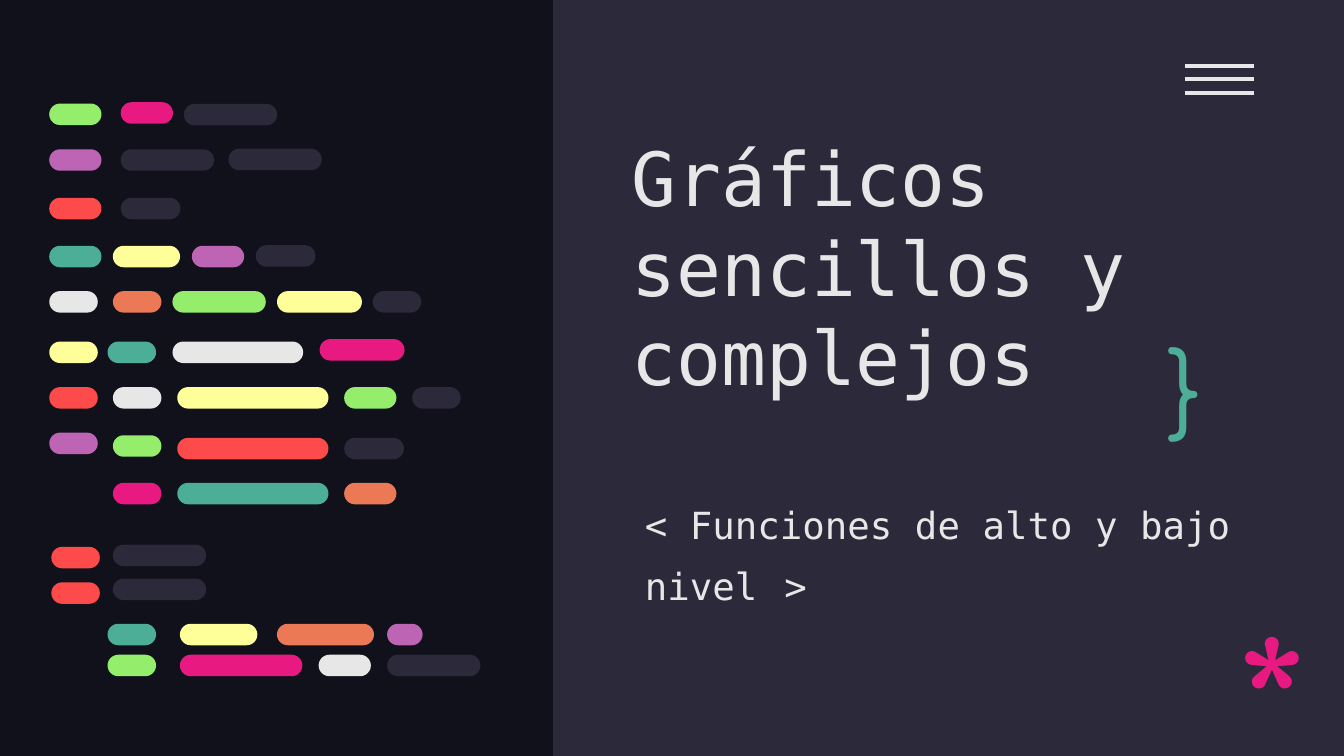
"""Build the title slide with its code-like strips and menu icon."""
from dataclasses import dataclass

from lxml.etree import SubElement
from pptx import Presentation
from pptx.dml.color import RGBColor
from pptx.enum.shapes import MSO_CONNECTOR, MSO_SHAPE
from pptx.enum.text import MSO_ANCHOR
from pptx.oxml.ns import qn
from pptx.slide import Slide
from pptx.util import Pt


@dataclass(frozen=True)
class Theme:
    night: str = "10111A"
    slate: str = "2C293A"
    white: str = "E7E7E7"
    green: str = "94EE6B"
    pink: str = "E81A81"
    purple: str = "BD64B5"
    red: str = "FD4A4A"
    teal: str = "4CAE97"
    yellow: str = "FFFF99"
    orange: str = "EC7955"
    mono: str = "DejaVu Sans Mono"
    round: str = "Comfortaa"
    title: float = 40
    body: float = 20
    gap: float = 24
    brace: float = 50
    star: float = 96


@dataclass(frozen=True)
class Box:
    left: float
    top: float
    width: float
    height: float


@dataclass(frozen=True)
class Pill:
    left: float
    width: float
    color: str
    drop: float = 0


@dataclass(frozen=True)
class Row:
    top: float
    pills: tuple[Pill, ...]


T = Theme()
WIDTH, HEIGHT = 720, 405
SPLIT = 296.3
THICK = 11.5
TINY, SHORT, MID, WIDE, LONG, FULL = 26, 28, 32, 50, 45.5, 81
EDGE, STEP = 26.4, 60.5

ROWS = (
    Row(55.5, (Pill(EDGE, SHORT, T.green), Pill(64.7, SHORT, T.pink, -0.7),
               Pill(98.5, WIDE, T.slate, 0.2))),
    Row(80, (Pill(EDGE, SHORT, T.purple), Pill(64.7, WIDE, T.slate),
             Pill(122.4, WIDE, T.slate, -0.3))),
    Row(106, (Pill(EDGE, SHORT, T.red), Pill(64.7, MID, T.slate))),
    Row(131.7, (Pill(EDGE, SHORT, T.teal), Pill(STEP, 36, T.yellow),
                Pill(102.8, SHORT, T.purple), Pill(137, MID, T.slate, -0.3))),
    Row(156, (Pill(EDGE, TINY, T.white), Pill(STEP, TINY, T.orange),
              Pill(92.4, WIDE, T.green), Pill(148.4, LONG, T.yellow),
              Pill(199.7, TINY, T.slate))),
    Row(183, (Pill(EDGE, TINY, T.yellow), Pill(57.6, TINY, T.teal),
              Pill(92.4, 70, T.white), Pill(171.2, LONG, T.pink, -1.3))),
    Row(207.4, (Pill(EDGE, TINY, T.red), Pill(STEP, TINY, T.white),
                Pill(95, FULL, T.yellow), Pill(184.4, SHORT, T.green),
                Pill(220.8, TINY, T.slate))),
    Row(231.8, (Pill(EDGE, TINY, T.purple), Pill(STEP, TINY, T.green, 1.4),
                Pill(95, FULL, T.red, 2.8), Pill(184.4, MID, T.slate, 2.8))),
    Row(258.7, (Pill(STEP, TINY, T.pink), Pill(95, FULL, T.teal),
                Pill(184.4, SHORT, T.orange))),
    Row(293, (Pill(27.5, TINY, T.red), Pill(STEP, WIDE, T.slate, -1.2))),
    Row(312, (Pill(27.5, TINY, T.red), Pill(STEP, WIDE, T.slate, -2))),
    Row(334.2, (Pill(57.6, TINY, T.teal), Pill(96.4, 41.5, T.yellow),
                Pill(148.4, 52, T.orange), Pill(207.4, 19, T.purple))),
    Row(350.8, (Pill(57.6, TINY, T.green), Pill(96.4, 65.6, T.pink),
                Pill(170.7, SHORT, T.white), Pill(207.4, WIDE, T.slate))),
)


def paint(slide: Slide, kind: MSO_SHAPE, box: Box, color: str) -> None:
    shape = slide.shapes.add_shape(
        kind, Pt(box.left), Pt(box.top), Pt(box.width), Pt(box.height))
    shape.shadow.inherit = False
    shape.fill.solid()
    shape.fill.fore_color.rgb = RGBColor.from_string(color)
    shape.line.fill.background()
    if kind == MSO_SHAPE.ROUNDED_RECTANGLE:
        shape.adjustments[0] = 0.5


def draw(slide: Slide, row: Row) -> None:
    for pill in row.pills:
        box = Box(pill.left, row.top + pill.drop, pill.width, THICK)
        paint(slide, MSO_SHAPE.ROUNDED_RECTANGLE, box, pill.color)


def bar(slide: Slide, left: float, right: float, top: float) -> None:
    line = slide.shapes.add_connector(
        MSO_CONNECTOR.STRAIGHT, Pt(left), Pt(top), Pt(right), Pt(top))
    line.line.color.rgb = RGBColor.from_string(T.white)
    line.line.width = Pt(2.25)
    SubElement(line._element.spPr, qn("a:effectLst"))


def write(slide: Slide, box: Box, *runs: tuple[str, float], font: str = T.mono,
          color: str = T.white, anchor: MSO_ANCHOR = MSO_ANCHOR.TOP,
          space: float | None = None, fill: str | None = None) -> None:
    shape = slide.shapes.add_textbox(
        Pt(box.left), Pt(box.top), Pt(box.width), Pt(box.height))
    if fill:
        shape.fill.solid()
        shape.fill.fore_color.rgb = RGBColor.from_string(fill)
    frame = shape.text_frame
    frame.word_wrap = True
    frame.vertical_anchor = anchor
    frame.margin_left = frame.margin_right = Pt(7.2)
    frame.margin_top = frame.margin_bottom = Pt(7.2)
    para = frame.paragraphs[0]
    para.line_spacing = space
    for text, size in runs:
        run = para.add_run()
        run.text = text
        run.font.name = font
        run.font.size = Pt(size)
        run.font.color.rgb = RGBColor.from_string(color)


def main() -> None:
    deck = Presentation()
    deck.slide_width, deck.slide_height = Pt(WIDTH), Pt(HEIGHT)
    slide = deck.slides.add_slide(deck.slide_layouts[6])
    slide.background.fill.solid()
    slide.background.fill.fore_color.rgb = RGBColor.from_string(T.night)
    panel = Box(SPLIT, 0, WIDTH - SPLIT, HEIGHT)
    paint(slide, MSO_SHAPE.RECTANGLE, panel, T.slate)
    for step in range(3):
        bar(slide, 634.6, 671.8, 35.3 + 7.2 * step)
    write(slide, Box(331.2, 67, 331.2, 154.8),
          ("Gráficos sencillos y complejos", T.title), anchor=MSO_ANCHOR.BOTTOM)
    write(slide, Box(338.4, 258.5, 331.2, 84.2),
          ("< Funciones de alto y bajo nivel", T.body), (" ", T.gap),
          (">", T.body), space=1.15, fill=T.slate)
    write(slide, Box(656, 313.2, 41, 62.6), ("*", T.star),
          font=T.round, color=T.pink)
    for row in ROWS:
        draw(slide, row)
    write(slide, Box(618.5, 167.8, 41, 68.4), ("}", T.brace),
          font=T.round, color=T.teal)
    deck.save("out.pptx")


if __name__ == "__main__":
    main()
